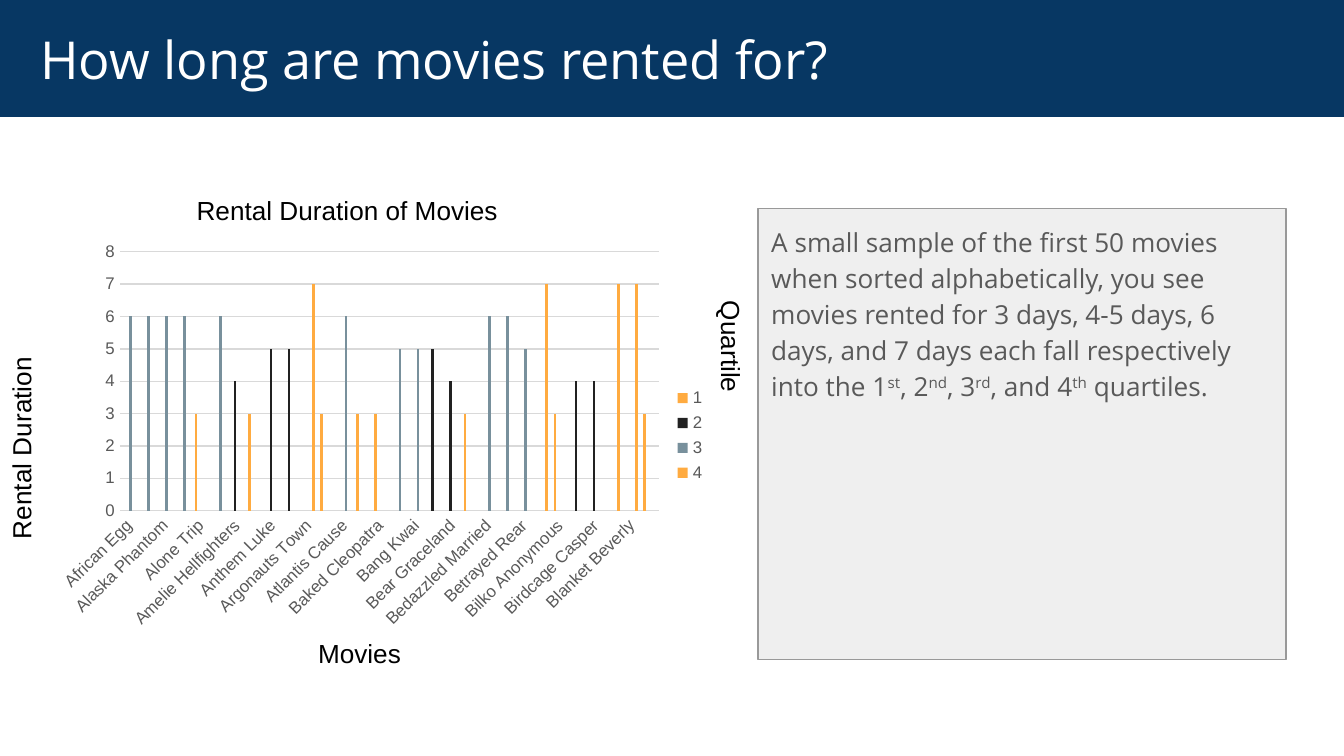
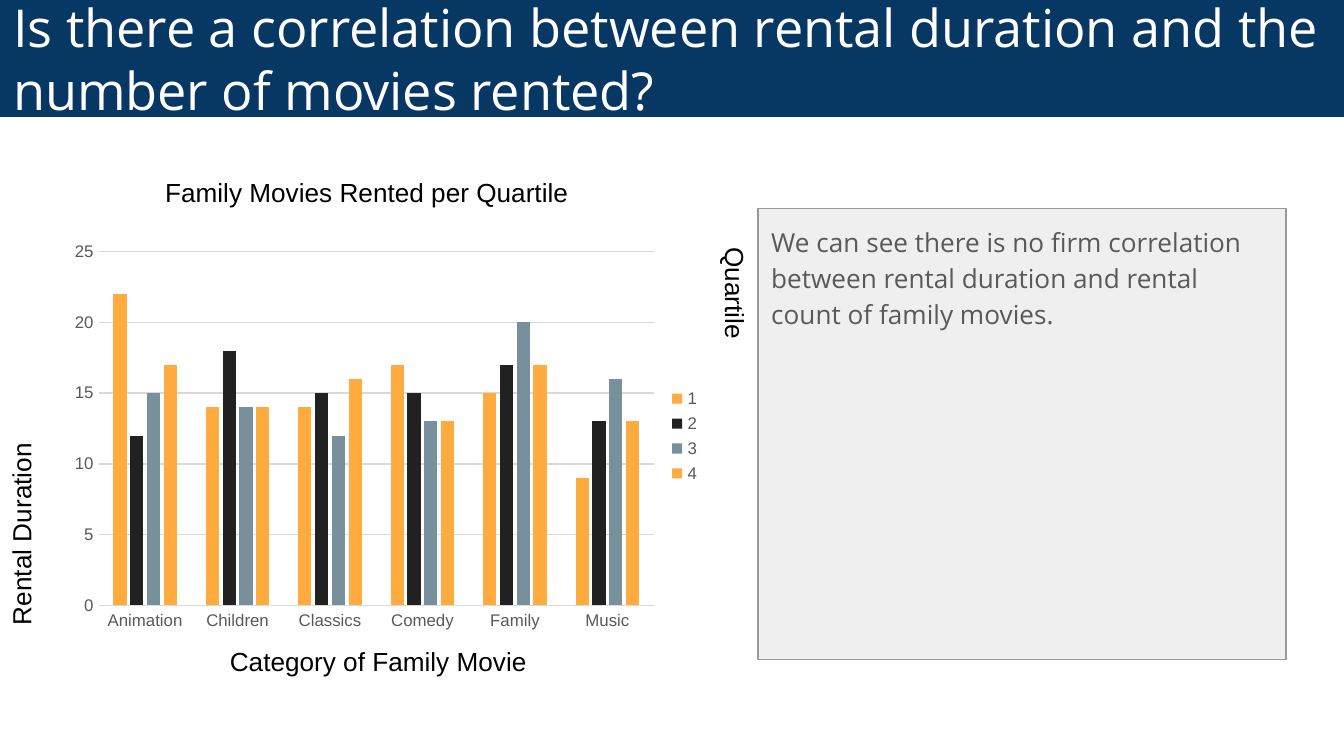
from dataclasses import dataclass
from typing import NamedTuple

from pptx import Presentation, util as u
from pptx.chart import data as cd
from pptx.dml.color import RGBColor
from pptx.enum import chart as ch, shapes, text
from pptx.oxml.ns import qn
from pptx.slide import Slide

COLORS = {
    "band": "073763", "white": "FFFFFF", "black": "000000",
    "panel": "EFEFEF", "panel_line": "999999", "body": "595959",
    "grid": "D9D9D9",
}
QUARTILE_COLORS = ["FFAB40", "212121", "78909C", "FFAB40"]
SANS, CHART_FONT = "Open Sans", "Arial"
SLIDE_WIDTH = 10
SLIDE_HEIGHT = SLIDE_WIDTH * 9 / 16


class Box(NamedTuple):
    left: float
    top: float
    width: float
    height: float

    def emu(self) -> list:
        return [u.Inches(v) for v in self]


class Run(NamedTuple):
    text: str
    raised: bool = False


@dataclass
class Label:
    text: str
    box: Box
    vertical: bool = False
    rotation: int = 0


@dataclass
class ChartSlide:
    title: str
    title_inset: float
    body: list
    chart_box: Box
    categories: list
    series: list
    labels: list


BAND = Box(0, 0, SLIDE_WIDTH, 0.87)
PANEL = Box(5.64, 1.55, 3.93, 3.36)


def rgb(hex_color: str) -> RGBColor:
    return RGBColor.from_string(hex_color)


def style(font, size: float, name: str, color: str) -> None:
    font.size, font.name = u.Pt(size), name
    font.color.rgb = rgb(color)


def add_rect(s: Slide, box: Box, fill: str, line: str = ""):
    sp = s.shapes.add_shape(shapes.MSO_SHAPE.RECTANGLE, *box.emu())
    sp.shadow.inherit = False
    sp.fill.solid()
    sp.fill.fore_color.rgb = rgb(fill)
    if line:
        sp.line.color.rgb = rgb(line)
        sp.line.width = u.Pt(0.75)
    else:
        sp.line.fill.background()
    tf = sp.text_frame
    tf.word_wrap = True
    tf.margin_left = tf.margin_right = u.Inches(0.1)
    tf.margin_top = tf.margin_bottom = u.Inches(0.1)
    p = tf.paragraphs[0]
    p.alignment = text.PP_ALIGN.LEFT
    return tf, p


def add_title(s: Slide, title: str, inset: float) -> None:
    tf, p = add_rect(s, BAND, COLORS["band"])
    tf.margin_left = u.Inches(inset)
    tf.vertical_anchor = text.MSO_ANCHOR.MIDDLE
    r = p.add_run()
    r.text = title
    style(r.font, 28, SANS, COLORS["white"])


def add_panel(s: Slide, runs: list) -> None:
    tf, p = add_rect(s, PANEL, COLORS["panel"], COLORS["panel_line"])
    tf.vertical_anchor = text.MSO_ANCHOR.TOP
    p.line_spacing, p.space_after = 1.15, u.Pt(16)
    for run in runs:
        r = p.add_run()
        r.text = run.text
        style(r.font, 14, SANS, COLORS["body"])
        if run.raised:
            r._r.get_or_add_rPr().set("baseline", "30000")


def add_label(s: Slide, label: Label) -> None:
    sp = s.shapes.add_textbox(*label.box.emu())
    sp.rotation = label.rotation
    tf = sp.text_frame
    tf.word_wrap = True
    tf.auto_size = text.MSO_AUTO_SIZE.SHAPE_TO_FIT_TEXT
    if label.vertical:
        next(sp.element.iter(qn("a:bodyPr"))).set("vert", "eaVert")
    p = tf.paragraphs[0]
    p.alignment = text.PP_ALIGN.CENTER
    r = p.add_run()
    r.text = label.text
    style(r.font, 14, CHART_FONT, COLORS["black"])


def add_columns(s: Slide, box: Box, categories: list, series: list) -> None:
    data = cd.CategoryChartData()
    data.categories = categories
    for number, values in enumerate(series, 1):
        data.add_series(str(number), values)
    chart = s.shapes.add_chart(
        ch.XL_CHART_TYPE.COLUMN_CLUSTERED, *box.emu(), data).chart
    style(chart.font, 10, CHART_FONT, COLORS["black"])
    chart.has_title = False

    # Columns
    plot = chart.plots[0]
    plot.gap_width, plot.overlap = 219, -27
    plot.vary_by_categories = False
    for column, color in zip(plot.series, QUARTILE_COLORS):
        column.format.fill.solid()
        column.format.fill.fore_color.rgb = rgb(color)
        column.invert_if_negative = False

    # Axes
    for axis in (chart.category_axis, chart.value_axis):
        axis.major_tick_mark = axis.minor_tick_mark = ch.XL_TICK_MARK.NONE
        style(axis.tick_labels.font, 9, CHART_FONT, COLORS["body"])
    cat, val = chart.category_axis, chart.value_axis
    # Automatic label rotation
    next(cat._element.iter(qn("a:bodyPr"))).set("rot", "-60000000")
    val.format.line.fill.background()
    val.has_major_gridlines = True
    for line in (cat.format.line, val.major_gridlines.format.line):
        line.color.rgb = rgb(COLORS["grid"])
        line.width = u.Pt(0.75)

    # Legend
    chart.has_legend = True
    chart.legend.position = ch.XL_LEGEND_POSITION.RIGHT
    chart.legend.include_in_layout = False
    style(chart.legend.font, 9, CHART_FONT, COLORS["body"])


def add_chart_slide(prs, page: ChartSlide) -> None:
    s = prs.slides.add_slide(prs.slide_layouts[6])
    add_panel(s, page.body)
    add_title(s, page.title, page.title_inset)
    add_columns(s, page.chart_box, page.categories, page.series)
    for label in page.labels:
        add_label(s, label)


# Movie, quartile, rental days
MOVIES = [
    ("African Egg", 3, 6), ("Airplane Sierra", 3, 6),
    ("Alaska Phantom", 3, 6), ("Alice Fantasia", 3, 6),
    ("Alone Trip", 1, 3), ("Alter Victory", 3, 6),
    ("Amelie Hellfighters", 2, 4), ("Anaconda Confessions", 1, 3),
    ("Anthem Luke", 2, 5), ("Apache Divine", 2, 5),
    ("Argonauts Town", 4, 7), ("Arizona Bang", 1, 3),
    ("Atlantis Cause", 3, 6), ("Backlash Undefeated", 1, 3),
    ("Baked Cleopatra", 1, 3), ("Balloon Homeward", 3, 5),
    ("Bang Kwai", 3, 5), ("Banger Pinocchio", 2, 5),
    ("Bear Graceland", 2, 4), ("Beast Hunchback", 1, 3),
    ("Bedazzled Married", 3, 6), ("Beneath Rush", 3, 6),
    ("Betrayed Rear", 3, 5), ("Bikini Borrowers", 4, 7),
    ("Bilko Anonymous", 1, 3), ("Birch Antitrust", 2, 4),
    ("Birdcage Casper", 2, 4), ("Blackout Private", 4, 7),
    ("Blanket Beverly", 4, 7), ("Blood Argonauts", 1, 3),
]

PAGES = [
    ChartSlide(
        title="How long are movies rented for?",
        title_inset=0.3,
        body=[
            Run("A small sample of the first 50 movies when sorted "
                "alphabetically, you see movies rented for 3 days, 4-5 days, "
                "6 days, and 7 days each fall respectively into the 1"),
            Run("st", True), Run(", 2"), Run("nd", True), Run(", 3"),
            Run("rd", True), Run(", and 4"), Run("th", True),
            Run(" quartiles."),
        ],
        chart_box=Box(0.35, 1.74, 5, 3),
        categories=[name for name, _, _ in MOVIES],
        series=[[days if quartile == q else None
                 for _, quartile, days in MOVIES] for q in range(1, 5)],
        labels=[
            Label("Rental Duration", Box(-0.01, 1.74, 0.44, 2.37), True, 180),
            Label("Movies", Box(0.35, 4.69, 4.65, 0.34)),
            Label("Quartile", Box(5.17, 2.14, 0.44, 1.56), True),
            Label("Rental Duration of Movies", Box(0.81, 1.4, 3.55, 0.34)),
        ],
    ),
    ChartSlide(
        title="Is there a correlation between rental duration and the "
              "number of movies rented?",
        title_inset=0.1,
        body=[Run("We can see there is no firm correlation between rental "
                  "duration and rental count of family movies.")],
        chart_box=Box(0.46, 1.74, 4.85, 3.01),
        categories=["Animation", "Children", "Classics", "Comedy", "Family",
                    "Music"],
        series=[
            [22, 14, 14, 17, 15, 9],
            [12, 18, 15, 15, 17, 13],
            [15, 14, 12, 13, 20, 16],
            [17, 14, 16, 13, 17, 13],
        ],
        labels=[
            Label("Family Movies Rented per Quartile",
                  Box(0.46, 1.26, 4.54, 0.34)),
            Label("Rental Duration", Box(-0.01, 1.74, 0.44, 3.01), True, 180),
            Label("Quartile", Box(5.2, 1.74, 0.44, 3.01), True),
            Label("Category of Family Movie", Box(0.84, 4.75, 3.95, 0.34)),
        ],
    ),
]

prs = Presentation()
prs.slide_width = u.Inches(SLIDE_WIDTH)
prs.slide_height = u.Inches(SLIDE_HEIGHT)
for page in PAGES:
    add_chart_slide(prs, page)
prs.save("out.pptx")
